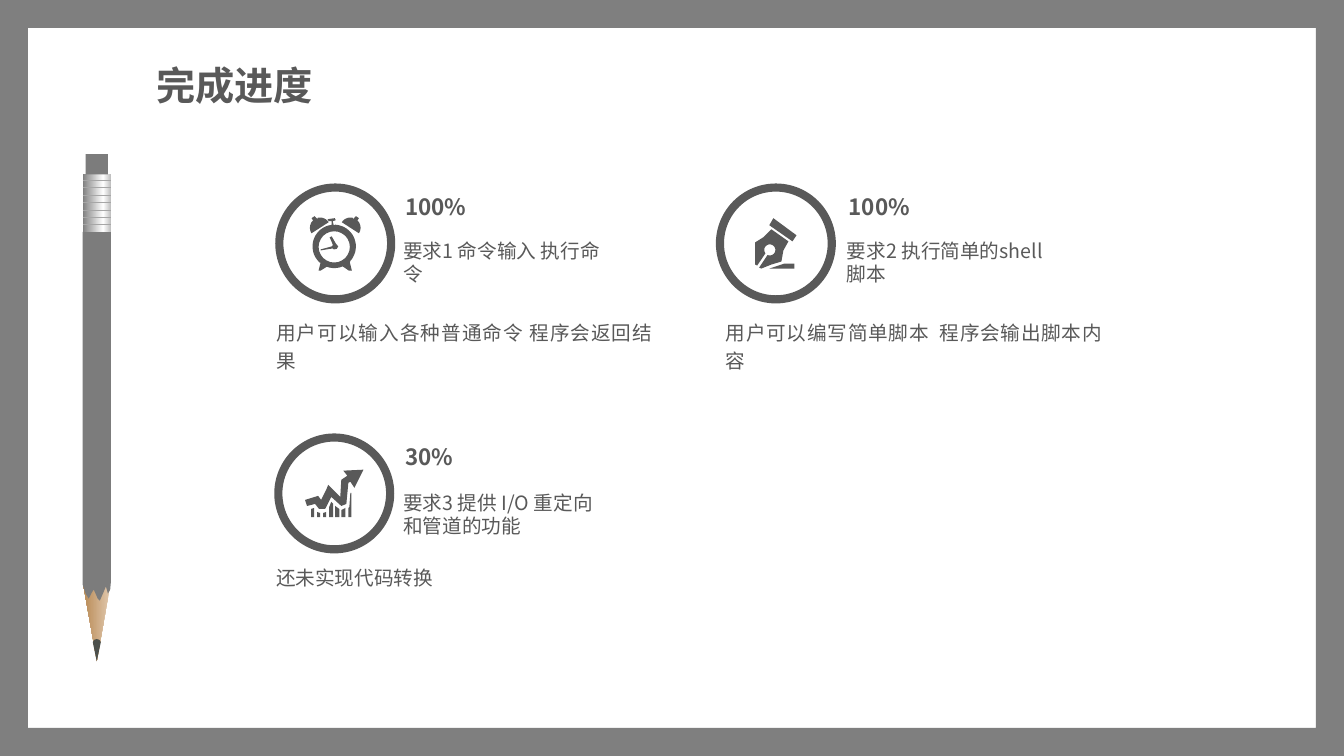
from copy import deepcopy
from math import cos, radians, sin

from lxml import etree
from pptx import Presentation
from pptx.dml.color import RGBColor
from pptx.enum import shapes, text
from pptx.oxml import ns
from pptx.util import Inches, Pt

FONT = "Noto Sans CJK SC"
DARK = RGBColor(0x59, 0x59, 0x59)
FRAME = RGBColor(0x7F, 0x7F, 0x7F)
PENCIL = RGBColor(0x7C, 0x7C, 0x7C)
LEAD = RGBColor(0x4C, 0x50, 0x4C)
GROOVE = RGBColor(0xA6, 0xA6, 0xA6)
WOOD = [(0, RGBColor(0xE1, 0xC9, 0xAF)), (1, RGBColor(0xB8, 0x89, 0x54))]
METAL = [(0, RGBColor(0xBF, 0xBF, 0xBF)), (0.27, RGBColor(0xFF, 0xFF, 0xFF)),
         (1, RGBColor(0x80, 0x80, 0x80))]
RING = 1.19


def arc(cx, cy, radius, start, end, steps=24):
    """Points along a circular arc, angles in degrees clockwise from the right."""
    angles = [radians(start + (end - start) * i / steps) for i in range(steps + 1)]
    return [(cx + radius * cos(a), cy + radius * sin(a)) for a in angles]


# Icon outlines, in hundredths of an inch
BELL = (arc(40.5, 11.5, 10.1, -147, -75) + [(43, 3), (46, 0), (49, 2), (47, 5)]
        + arc(40.5, 11.5, 10.1, -45, 33))
CLOCK = [
    [(22, 9), (22, 5), (19, 5), (18, 3), (25, 2), (26, 4), (23, 5), (24, 9)]
    + arc(24.5, 30, 21.5, -87, 42) + [(40, 46), (42, 54), (39, 54)]
    + arc(24.5, 30, 21.5, 67, 110) + [(11, 54), (9, 54), (11, 46)]
    + arc(24.5, 30, 21.5, 132, 265),
    BELL,
    [(51 - x, y) for x, y in BELL],
    arc(24.5, 30.5, 15.5, 360, 0),
    [(23, 29), (22, 30), (11, 33), (11, 34), (23, 32), (24, 33), (27, 32.5),
     (28.5, 30), (26, 27), (22, 20), (20, 21), (23, 28)],
]
PEN = [
    [(2, 47), (0, 46), (0, 24), (8, 19), (16, 11), (33, 23), (28, 32), (26, 43),
     (16, 46), (6, 50), (4, 49)] + arc(14.5, 31.5, 5.5, 114, -218),
    [(14, 50), (39, 50), (39, 45), (29, 45)],
    [(37, 23), (41, 17), (18, 0), (14, 7)],
]
TREND = [
    [(58, 0), (49, 18), (45, 12), (43, 13), (41, 34), (36, 36), (26, 27), (20, 39),
     (14, 39), (10, 34), (2, 36), (0, 30), (13, 26), (16, 30), (21, 20), (23, 15),
     (35, 27), (36, 10), (42, 6), (38, 1)],
    [(43, 47), (46, 47), (46, 23), (45, 23), (44, 37), (43, 38)],
    [(6, 47), (9, 47), (9, 38), (6, 39)],
    [(12, 47), (15, 47), (15, 43), (12, 42)],
    [(18, 47), (21, 47), (21, 42), (18, 43)],
    [(24, 47), (28, 47), (28, 34), (26, 32), (24, 37)],
    [(30, 47), (34, 47), (34, 39), (30, 36)],
    [(36, 47), (40, 47), (40, 38), (36, 40)],
]

# ring left, ring top, icon, icon size, text left, label top, note left, note top, texts
CARDS = [
    (2.73, 1.82, CLOCK, (0.51, 0.54), 3.9, 2.32, 2.64, 3.09,
     "100%", "要求1 命令输入 执行命令", "用户可以输入各种普通命令 程序会返回结果"),
    (7.1, 1.82, PEN, (0.41, 0.5), 8.3, 2.32, 7.1, 3.09,
     "100%", "要求2 执行简单的shell脚本", "用户可以编写简单脚本  程序会输出脚本内容"),
    (2.72, 4.3, TREND, (0.58, 0.47), 3.9, 4.82, 2.64, 5.52,
     "30%", "要求3 提供 I/O 重定向和管道的功能", "还未实现代码转换"),
]


def finish(shape, color):
    shape.shadow.inherit = False
    shape.line.fill.background()
    if color is not None:
        shape.fill.solid()
        shape.fill.fore_color.rgb = color


def add_preset(slide, kind, box, color=None, adjustment=None):
    shape = slide.shapes.add_shape(kind, *map(Inches, box))
    if adjustment is not None:
        shape.adjustments[0] = adjustment
    finish(shape, color)
    return shape


def add_outline(slide, contours, left, top, color):
    builder = None
    for contour in contours:
        points = [(x * 10, y * 10) for x, y in contour]
        if builder is None:
            builder = slide.shapes.build_freeform(*points[0], scale=Inches(1) / 1000)
        else:
            builder.move_to(*points[0])
        builder.add_line_segments(points[1:], close=True)
    finish(builder.convert_to_shape(Inches(left), Inches(top)), color)


def set_gradient(shape, stops, angle):
    shape.fill.gradient()
    shape.fill.gradient_angle = angle
    stop_list = shape._element.spPr.find(".//" + ns.qn("a:gsLst"))
    for _ in stops[2:]:
        stop_list.insert(1, deepcopy(stop_list[0]))
    for stop, (position, color) in zip(shape.fill.gradient_stops, stops):
        stop.position = position
        stop.color.rgb = color


def add_text(slide, box, words, size, bold=False, margin=None, **paragraph_format):
    holder = slide.shapes.add_textbox(*map(Inches, box))
    frame = holder.text_frame
    frame.word_wrap = True
    frame.auto_size = text.MSO_AUTO_SIZE.SHAPE_TO_FIT_TEXT
    if margin is not None:
        for side in ("left", "top", "right", "bottom"):
            setattr(frame, f"margin_{side}", margin)
    paragraph = frame.paragraphs[0]
    for name, value in paragraph_format.items():
        setattr(paragraph, name, value)
    run = paragraph.add_run()
    run.text = words
    for name, value in {"size": Pt(size), "bold": bold, "name": FONT}.items():
        setattr(run.font, name, value)
    run.font.color.rgb = DARK
    east_asian = etree.SubElement(run._r.get_or_add_rPr(), ns.qn("a:ea"))
    east_asian.set("typeface", FONT)


def add_pencil(slide, left, top, width):
    preset = shapes.MSO_SHAPE
    # Wooden tip, turned to point down
    length = 0.79
    wood = add_preset(slide, preset.PENTAGON,
                      (left + (width - length) / 2, top + 4.49, length, width),
                      adjustment=length / width)
    wood.rotation = 90
    set_gradient(wood, WOOD, 270)
    # Painted body with a jagged end
    body = [(0, 0), (28, 0), (28, 347), (27.3, 355), (25, 359), (24, 355), (23, 352),
            (20.5, 358), (17, 366), (15, 364), (11, 355), (9, 358), (6, 364),
            (3, 359), (0, 350)]
    add_outline(slide, [body], left, top + 0.77, PENCIL)
    # Metal sleeve, eraser and lead
    sleeve = add_preset(slide, preset.RECTANGLE, (left, top + 0.2, width, 0.57))
    set_gradient(sleeve, METAL, 180)
    add_preset(slide, preset.RECTANGLE, (left + 0.03, top, 0.22, 0.2), PENCIL)
    lead = [(14, 0), (16.5, 0.7), (18, 3), (14, 22), (10, 3), (11.5, 0.7)]
    add_outline(slide, [lead], left, top + 4.81, LEAD)
    # Grooves of the sleeve
    for i in range(7):
        y = Inches(top + 0.26 + i * 0.44 / 6)
        groove = slide.shapes.add_connector(
            shapes.MSO_CONNECTOR.STRAIGHT, Inches(left), y, Inches(left + width), y)
        groove.line.color.rgb = GROOVE
        groove.line.width = Pt(0.5)
        etree.SubElement(groove._element.spPr, ns.qn("a:effectLst"))


def add_card(slide, left, top, icon, icon_size, text_left, label_top,
             note_left, note_top, percent, label, note):
    add_preset(slide, shapes.MSO_SHAPE.DONUT, (left, top, RING, RING), DARK, 0.068)
    icon_left, icon_top = (start + (RING - extent) / 2
                           for start, extent in zip((left, top), icon_size))
    add_outline(slide, icon, icon_left, icon_top, DARK)
    justified = {"alignment": text.PP_ALIGN.JUSTIFY, "line_spacing": 1.2}
    add_text(slide, (text_left + 0.02, top - 0.01, 1.09, 0.42), percent, 16, True,
             **justified)
    add_text(slide, (text_left, label_top, 2.18, 0.57), label, 14, space_before=Pt(2.8))
    add_text(slide, (note_left, note_top, 3.93, 0.66), note, 14, **justified)


def main():
    deck = Presentation()
    deck.slide_width, deck.slide_height = Inches(13.33), Inches(7.5)
    slide = deck.slides.add_slide(deck.slide_layouts[6])
    add_pencil(slide, 0.82, 1.53, 0.28)
    for card in CARDS:
        add_card(slide, *card)
    # Page border and title
    add_preset(slide, shapes.MSO_SHAPE.FRAME, (0, 0, 13.33, 7.5), FRAME, 0.037)
    add_text(slide, (1.55, 0.61, 2.58, 0.47), "完成进度", 28, True, margin=0,
             space_before=Pt(5.6))
    deck.save("out.pptx")


if __name__ == "__main__":
    main()
